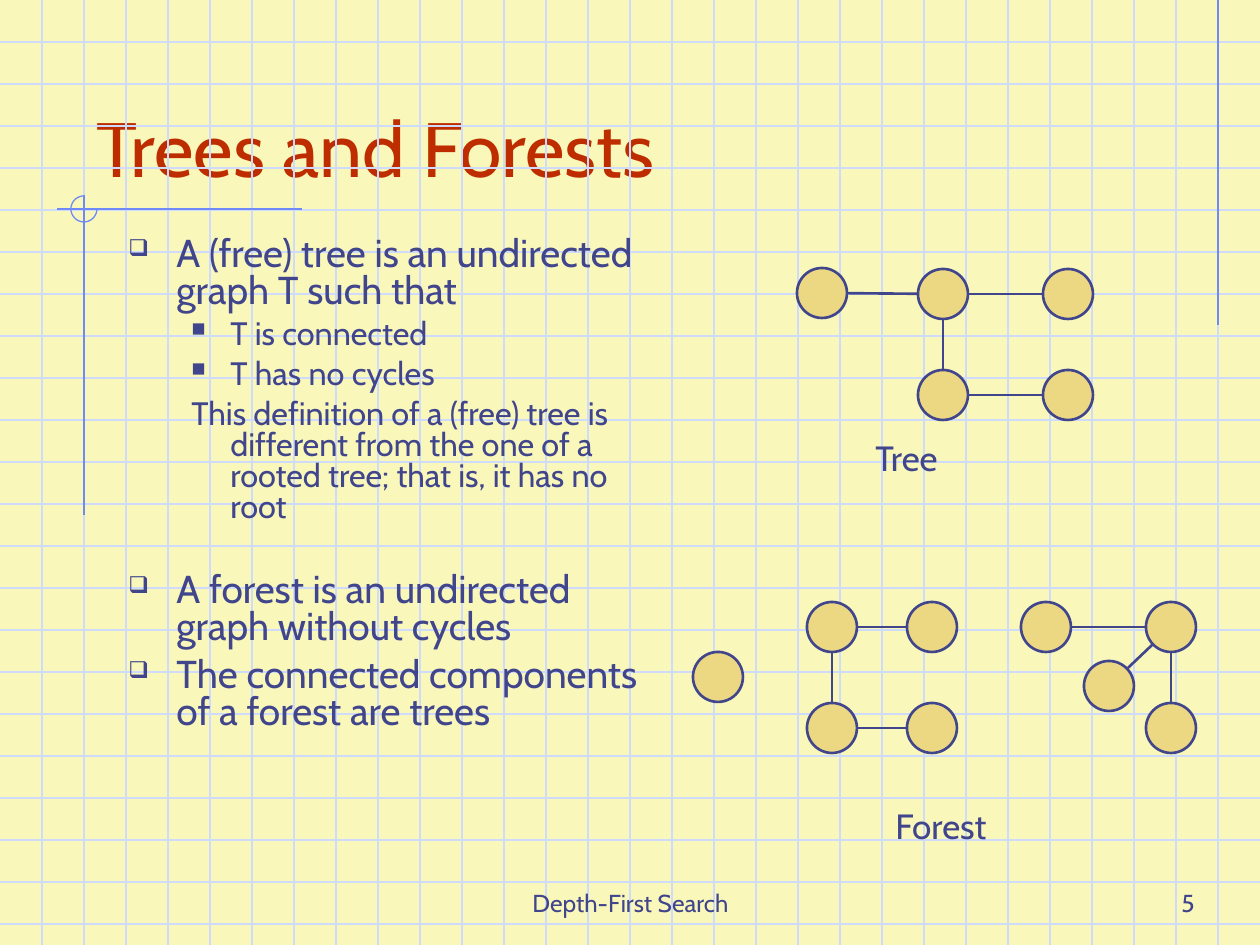
import math
import lxml.etree
import pptx
import pptx.util
import pptx.dml.color
import pptx.enum.shapes
import pptx.enum.text
import pptx.oxml.ns

PAPER = pptx.dml.color.RGBColor(0xF9, 0xF8, 0xBA)
GRID = pptx.dml.color.RGBColor(0xCF, 0xDB, 0xFD)
ACCENT = pptx.dml.color.RGBColor(0x6F, 0x89, 0xF7)
INK = pptx.dml.color.RGBColor(0x40, 0x45, 0x8C)
RED = pptx.dml.color.RGBColor(0xBE, 0x2D, 0x00)
GOLD = pptx.dml.color.RGBColor(0xEC, 0xD8, 0x82)
LEFT, CENTER, RIGHT = (pptx.enum.text.PP_ALIGN.LEFT, pptx.enum.text.PP_ALIGN.CENTER,
                       pptx.enum.text.PP_ALIGN.RIGHT)
TOP, BOTTOM = pptx.enum.text.MSO_ANCHOR.TOP, pptx.enum.text.MSO_ANCHOR.BOTTOM
PX = 914400 / 126
WIDTH, HEIGHT, STEP = 1260, 945, 42
RADIUS = 25


def write(frame, text, size=20, color=INK, align=LEFT, before=0, spacing=None,
          margin=0, indent=0, bullet=None):
    para = frame.paragraphs[0] if not frame.text else frame.add_paragraph()
    para.alignment = align
    para.space_before = pptx.util.Pt(before)
    if spacing:
        para.line_spacing = spacing
    properties = para._p.get_or_add_pPr()
    properties.set("marL", str(round(margin * PX)))
    properties.set("indent", str(round(-indent * PX)))
    if bullet:
        tint = lxml.etree.SubElement(properties, pptx.oxml.ns.qn("a:buClr"))
        lxml.etree.SubElement(tint, pptx.oxml.ns.qn("a:srgbClr"), val=str(color))
        lxml.etree.SubElement(properties, pptx.oxml.ns.qn("a:buSzPct"), val="60000")
        lxml.etree.SubElement(properties, pptx.oxml.ns.qn("a:buChar"), char=bullet)
    else:
        lxml.etree.SubElement(properties, pptx.oxml.ns.qn("a:buNone"))
    span = para.add_run()
    span.text = text
    span.font.name = "Cabin"
    span.font.size = pptx.util.Pt(size)
    span.font.color.rgb = color


def draw_line(x1, y1, x2, y2, color, weight):
    line = page.shapes.add_connector(
        pptx.enum.shapes.MSO_CONNECTOR.STRAIGHT,
        *(round(value * PX) for value in (x1, y1, x2, y2)))
    line.line.color.rgb = color
    line.line.width = pptx.util.Pt(weight)
    lxml.etree.SubElement(line._element.spPr, pptx.oxml.ns.qn("a:effectLst"))


deck = pptx.Presentation()
deck.slide_width, deck.slide_height = round(WIDTH * PX), round(HEIGHT * PX)
page = deck.slides.add_slide(deck.slide_layouts[5])
page.background.fill.solid()
page.background.fill.fore_color.rgb = PAPER

for y in range(STEP, HEIGHT, STEP):
    draw_line(0, y, WIDTH, y, GRID, 0.75)
for x in range(STEP, WIDTH, STEP):
    draw_line(x, 0, x, HEIGHT, GRID, 0.75)
for ends in [(1218, 0, 1218, 325), (302, 209, 57, 209), (84, 195, 84, 515)]:
    draw_line(*ends, ACCENT, 0.75)

arc = [(round((84 + 13 * math.cos(math.radians(angle))) * PX),
        round((209 - 13 * math.sin(math.radians(angle))) * PX))
       for angle in range(90, 361, 10)]
builder = page.shapes.build_freeform(*arc[0])
builder.add_line_segments(arc[1:], close=False)
ring = builder.convert_to_shape()
ring.fill.background()
ring.line.color.rgb = ACCENT
ring.line.width = pptx.util.Pt(0.75)
ring.shadow.inherit = False

title = page.shapes.title
title.left, title.top, title.width, title.height = (
    round(value * PX) for value in (84, 42, 1071, 157))
title.text_frame.auto_size = pptx.enum.text.MSO_AUTO_SIZE.NONE
title.text_frame.vertical_anchor = BOTTOM
write(title.text_frame, "Trees and Forests", size=44, color=RED)

main_point = dict(size=22.2, spacing=0.8, margin=48, indent=48, bullet="❑")
detail = dict(size=18.5, spacing=0.8, margin=102, indent=39, before=5)
body = [
    ("A (free) tree is an undirected graph T such that", main_point),
    ("T is connected", dict(detail, bullet="■")),
    ("T has no cycles", dict(detail, bullet="■")),
    ("This definition of a (free) tree is different from the one of a rooted tree; "
     "that is, it has no root", detail),
    ("A forest is an undirected graph without cycles", dict(main_point, before=28)),
    ("The connected components of a forest are trees", dict(main_point, before=6)),
]
texts = [
    ((431, 861, 399, 63), BOTTOM, [("Depth-First Search", dict(size=14, align=CENTER))]),
    ((945, 861, 262, 63), BOTTOM, [("5", dict(size=14, align=RIGHT))]),
    ((116, 231, 535, 661), TOP, body),
    ((863, 430, 134, 55), TOP, [("Tree", {})]),
    ((883, 798, 145, 55), TOP, [("Forest", {})]),
]
for place, anchor, paragraphs in texts:
    box = page.shapes.add_textbox(*(round(value * PX) for value in place))
    box.text_frame.word_wrap = True
    box.text_frame.vertical_anchor = anchor
    for text, style in paragraphs:
        write(box.text_frame, text, **style)

graphs = [
    ([(822, 293), (943, 294), (1068, 294), (943, 395), (1068, 395)],
     [(0, 1), (1, 2), (1, 3), (3, 4)]),
    ([(718, 677)], []),
    ([(832, 627), (932, 627), (832, 728), (932, 728)],
     [(0, 1), (0, 2), (2, 3)]),
    ([(1046, 627), (1171, 627), (1171, 728), (1109, 686)],
     [(0, 1), (1, 2), (1, 3)]),
]
for nodes, edges in graphs:
    for x, y in nodes:
        node = page.shapes.add_shape(
            pptx.enum.shapes.MSO_SHAPE.OVAL,
            *(round(value * PX) for value in (x - RADIUS, y - RADIUS, 2 * RADIUS, 2 * RADIUS)))
        node.fill.solid()
        node.fill.fore_color.rgb = GOLD
        node.line.color.rgb = INK
        node.line.width = pptx.util.Pt(1.5)
        node.shadow.inherit = False
    for start, end in edges:
        (x1, y1), (x2, y2) = nodes[start], nodes[end]
        reach = (RADIUS + 1) / math.hypot(x2 - x1, y2 - y1)
        dx, dy = (x2 - x1) * reach, (y2 - y1) * reach
        draw_line(x1 + dx, y1 + dy, x2 - dx, y2 - dy, INK, 1.5)

deck.save("out.pptx")
